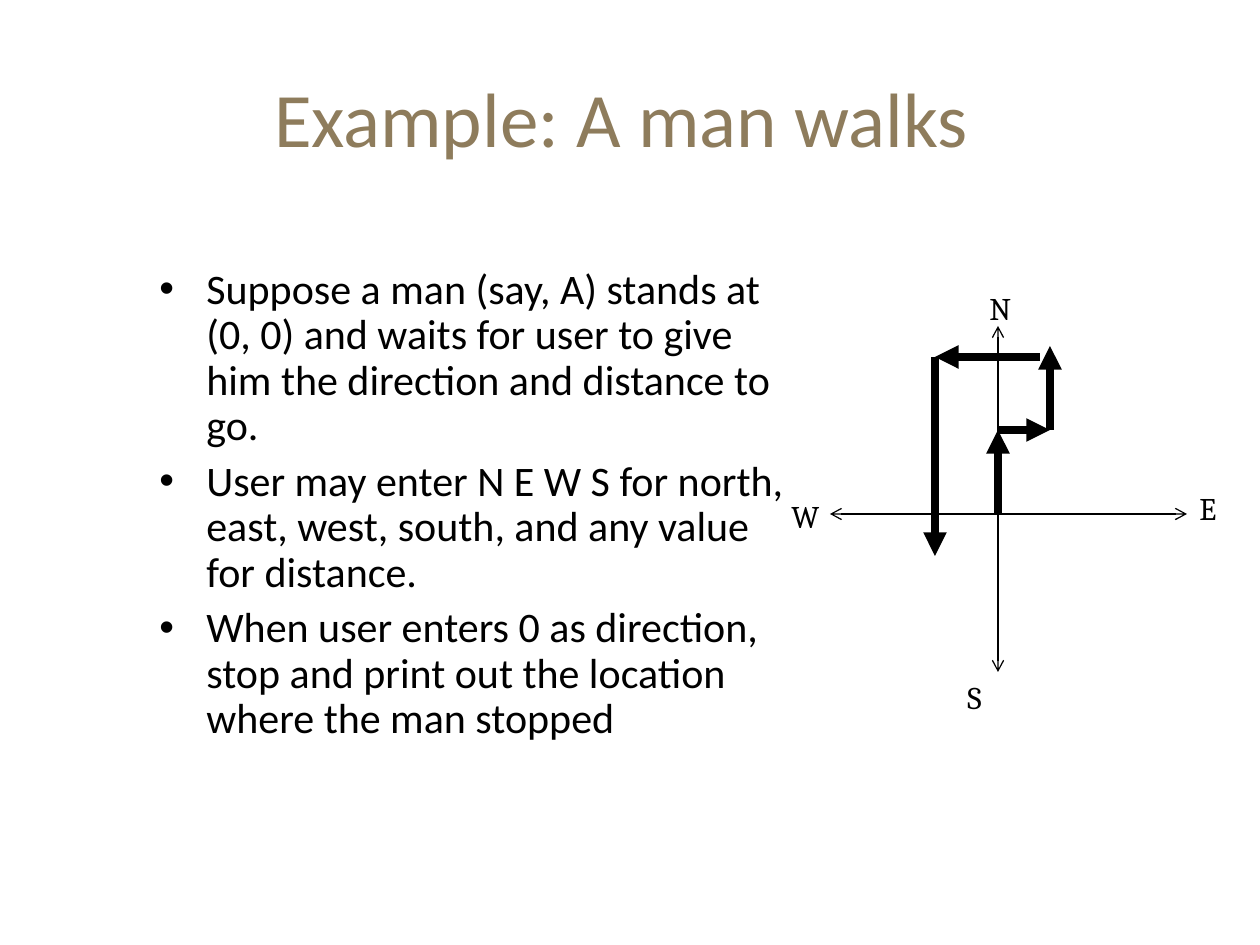
from lxml.etree import SubElement
from pptx import Presentation
from pptx.dml.color import RGBColor
from pptx.enum.shapes import MSO_CONNECTOR
from pptx.enum.text import MSO_ANCHOR, PP_ALIGN
from pptx.oxml.ns import qn
from pptx.util import Pt

PX = 914400 / 126


def add_text(shapes, box, lines, font, size, color, before):
    left, top, width, height = (round(v * PX) for v in box)
    frame = shapes.add_textbox(left, top, width, height).text_frame
    frame.word_wrap = True
    frame.text = "\n".join(lines)
    for paragraph in frame.paragraphs:
        paragraph.space_before = Pt(before)
        paragraph.font.name = font
        paragraph.font.size = Pt(size)
        paragraph.font.color.rgb = RGBColor.from_string(color)
    return frame


def add_arrow(shapes, ends, weight, **arrowheads):
    """Draw a black line; arrowheads maps headEnd or tailEnd to a type."""
    arrow = shapes.add_connector(
        MSO_CONNECTOR.STRAIGHT, *(round(v * PX) for v in ends))
    arrow.line.width = Pt(weight)
    arrow.line.color.rgb = RGBColor.from_string("000000")
    properties = arrow._element.spPr
    outline = properties.find(qn("a:ln"))
    for end, kind in arrowheads.items():
        SubElement(outline, qn("a:" + end), type=kind)
    SubElement(properties, qn("a:effectLst"))


deck = Presentation()
deck.slide_width = round(1260 * PX)
deck.slide_height = round(945 * PX)
slide = deck.slides.add_slide(deck.slide_layouts[6])

title = add_text(slide.shapes, (63, 38, 1134, 157), ["Example: A man walks "],
                 "Calibri", 44, "8E7C5C", 0)
title.vertical_anchor = MSO_ANCHOR.MIDDLE
title.paragraphs[0].alignment = PP_ALIGN.CENTER

rules = add_text(slide.shapes, (147, 262, 651, 630), [
    "Suppose a man (say, A) stands at (0, 0) and waits for user to give him "
    "the direction and distance to go.",
    "User may enter N E W S for north, east, west, south, and any value for "
    "distance.",
    "When user enters 0 as direction, stop and print out the location where "
    "the man stopped",
], "Calibri", 24, "000000", 6)
indent = round(47 * PX)
for rule in rules.paragraphs:
    rule.line_spacing = 0.9
    settings = rule._p.get_or_add_pPr()
    settings.set("marL", str(indent))
    settings.set("indent", str(-indent))
    SubElement(settings, qn("a:buFont"), typeface="Arial")
    SubElement(settings, qn("a:buChar"), char="•")

# Compass
origin_x, origin_y = 998, 514
compass = slide.shapes.add_group_shape().shapes
for axis in [(origin_x, 326, origin_x, 672), (830, origin_y, 1187, origin_y)]:
    add_arrow(compass, axis, 0.75, headEnd="arrow", tailEnd="arrow")
for direction, left, top, width in [("N", 977, 283, 105), ("E", 1187, 483, 73),
                                    ("S", 955, 672, 105), ("W", 779, 491, 105)]:
    add_text(compass, (left, top, width, 50), [direction],
             "Cambria", 18, "000000", 11.2)

# Walk
west, east = 935, 1050
turn_y, north_y = 430, 357
for step in [(origin_x, origin_y, origin_x, turn_y),
             (east, turn_y, east, 346),
             (1040, north_y, west, north_y),
             (origin_x, turn_y, east, turn_y),
             (west, north_y, west, 556)]:
    add_arrow(slide.shapes, step, 4.5, tailEnd="triangle")

deck.save("out.pptx")
